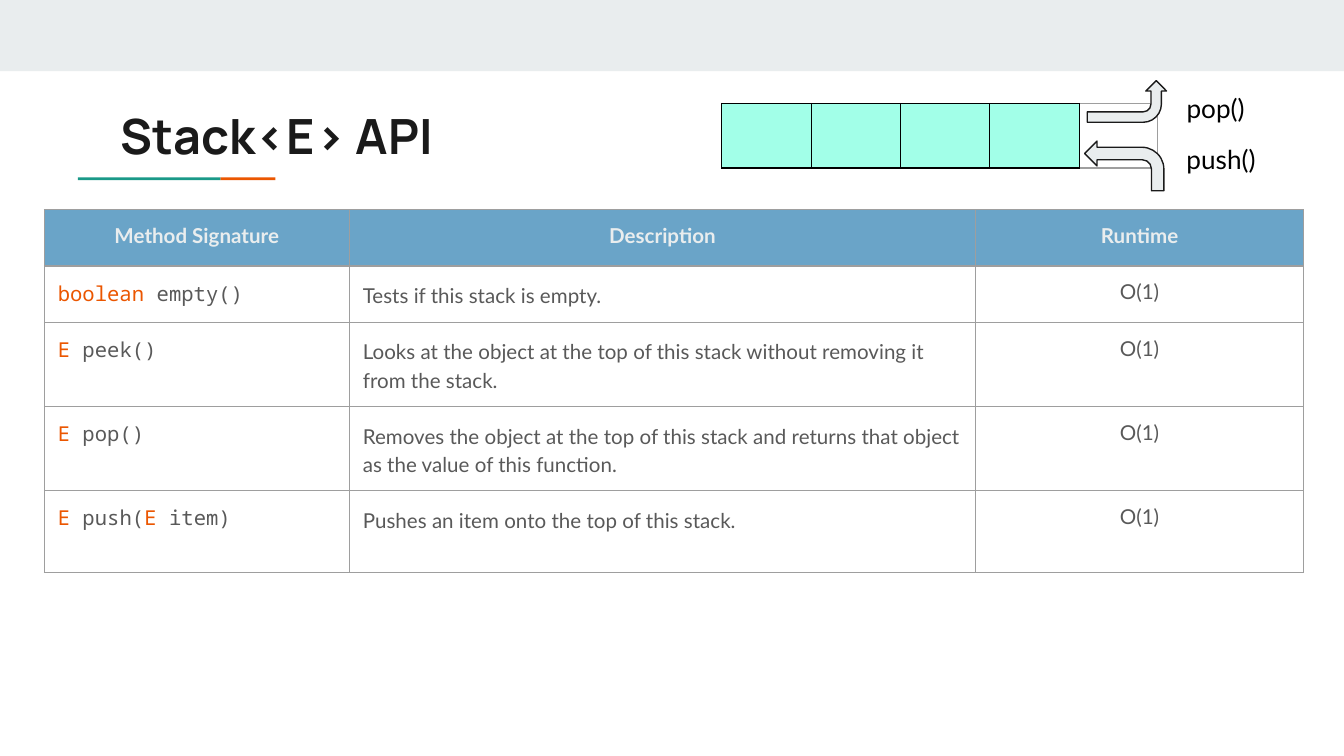
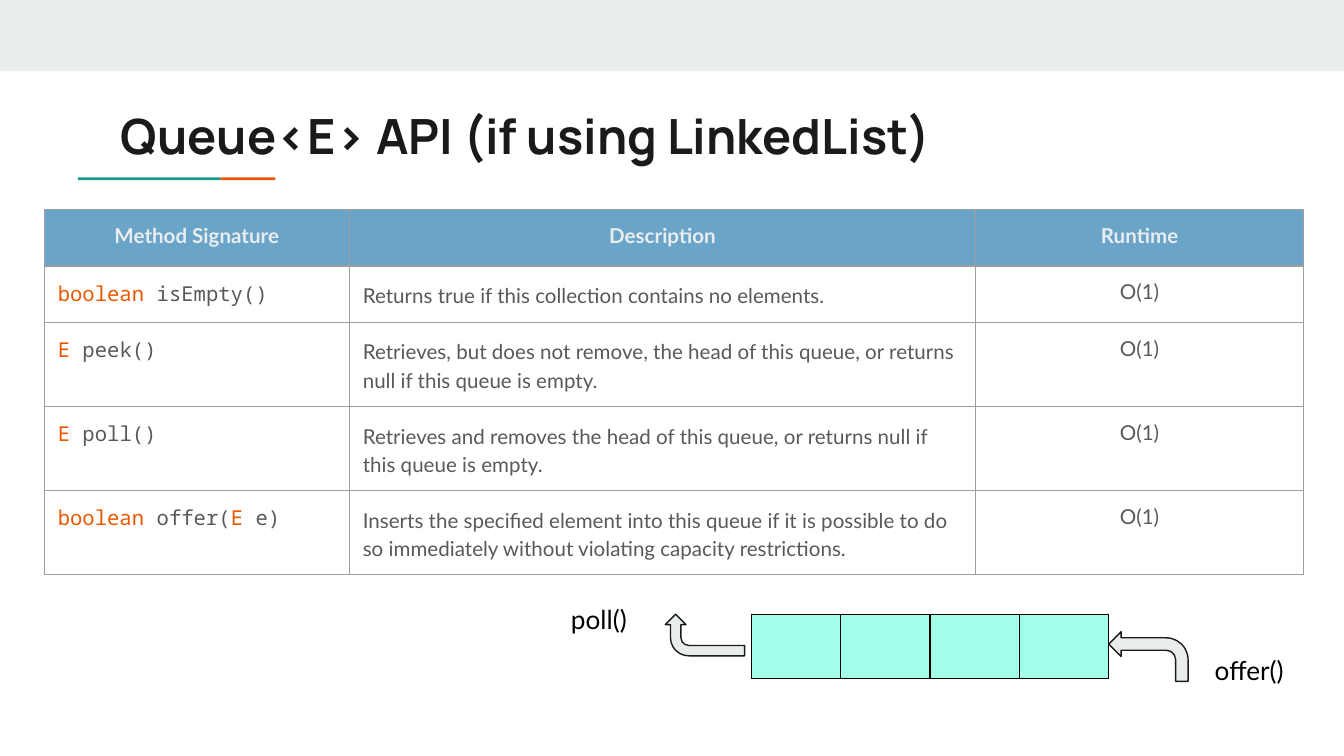
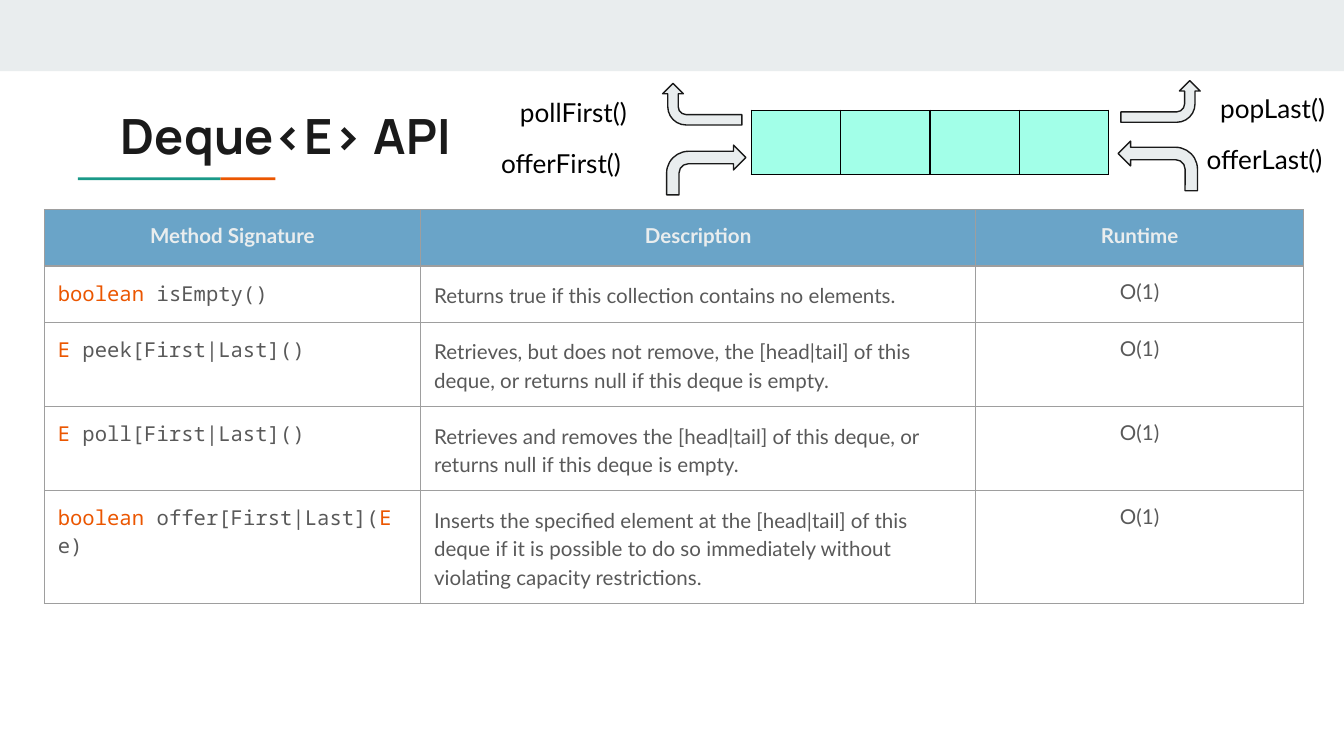
from dataclasses import dataclass

from lxml import etree
from pptx import Presentation
from pptx.dml.color import RGBColor
from pptx.enum.shapes import MSO_SHAPE
from pptx.enum.text import MSO_ANCHOR, PP_ALIGN
from pptx.oxml.ns import qn
from pptx.util import Inches, Pt


@dataclass(frozen=True)
class Theme:
    pale: str = "E9EDEE"
    teal: str = "1A9988"
    orange: str = "EB5600"
    ink: str = "1A1A1A"
    grey: str = "595959"
    black: str = "000000"
    header: str = "6AA4C8"
    mint: str = "A2FFE8"
    grid: str = "9E9E9E"
    title_font: str = "Manrope"
    body_font: str = "Lato"
    code_font: str = "Noto Sans Mono"
    title_size: int = 26
    label_size: int = 14
    table_size: int = 11
    line: float = 0.75
    inset: float = 0.1


T = Theme()


def add_run(p, text, size, color, font=T.body_font, bold=False):
    r = p.add_run()
    r.text = text
    r.font.name = font
    r.font.size = Pt(size)
    r.font.bold = bold
    r.font.color.rgb = RGBColor.from_string(color)


def style_cell(cell, fill, left, others):
    """Set the insets, fill and border colours of a cell."""
    cell.margin_left = cell.margin_right = Inches(T.inset)
    cell.margin_top = cell.margin_bottom = Inches(T.inset)
    tcPr = cell._tc.get_or_add_tcPr()
    for tag, color in (("a:lnL", left), ("a:lnR", others), ("a:lnT", others), ("a:lnB", others)):
        ln = etree.SubElement(tcPr, qn(tag), w=str(Pt(T.line)))
        solid = etree.SubElement(ln, qn("a:solidFill"))
        etree.SubElement(solid, qn("a:srgbClr"), val=color)
    if fill:
        cell.fill.solid()
        cell.fill.fore_color.rgb = RGBColor.from_string(fill)
    else:
        cell.fill.background()


# Signatures alternate between type names (orange) and plain code (grey).
# Arrows: left, top, width, height, rotation, flipped. Labels: text, left, top, width.
SLIDES = [
    {
        "title": "Stack<E> API",
        "cols": (2.27, 4.66, 2.44),
        "last_row": 0.61,
        "methods": [
            (("boolean", " empty()"), "Tests if this stack is empty."),
            (("E", " peek()"),
             "Looks at the object at the top of this stack without removing it from the stack."),
            (("E", " pop()"),
             "Removes the object at the top of this stack and returns that object as the value "
             "of this function."),
            (("E", " push(", "E", " item)"), "Pushes an item onto the top of this stack."),
        ],
        "store": (5.37, 0.77),
        "open_end": True,
        "arrows": [(8.23, 0.46, 0.31, 0.59, 90, True), (8.07, 1.05, 0.59, 0.37, 0, True)],
        "labels": [("pop()", 8.73, 0.59, 0.71), ("push()", 8.73, 0.97, 0.77)],
    },
    {
        "title": "Queue<E> API (if using LinkedList)",
        "cols": (2.27, 4.66, 2.44),
        "last_row": 0.42,
        "methods": [
            (("boolean", " isEmpty()"), "Returns true if this collection contains no elements."),
            (("E", " peek()"),
             "Retrieves, but does not remove, the head of this queue, or returns null if this "
             "queue is empty."),
            (("E", " poll()"),
             "Retrieves and removes the head of this queue, or returns null if this queue is "
             "empty."),
            (("boolean", " offer(", "E", " e)"),
             "Inserts the specified element into this queue if it is possible to do so "
             "immediately without violating capacity restrictions."),
        ],
        "store": (5.59, 4.57),
        "open_end": False,
        "arrows": [(5.09, 4.43, 0.31, 0.59, 270, False), (8.25, 4.7, 0.59, 0.37, 0, True)],
        "labels": [("poll()", 4.15, 4.39, 0.71), ("offer()", 8.94, 4.77, 0.77)],
    },
    {
        "title": "Deque<E> API",
        "cols": (2.8, 4.13, 2.44),
        "last_row": 0.42,
        "methods": [
            (("boolean", " isEmpty()"), "Returns true if this collection contains no elements."),
            (("E", " peek[First|Last]()"),
             "Retrieves, but does not remove, the [head|tail] of this  deque, or returns null if "
             "this deque is empty."),
            (("E", " poll[First|Last]()"),
             "Retrieves and removes the [head|tail] of this deque, or returns null if this "
             "deque is empty."),
            (("boolean", " offer[First|Last](", "E", " e)"),
             "Inserts the specified element at the [head|tail] of this deque if it is possible "
             "to do so immediately without violating capacity restrictions."),
        ],
        "store": (5.59, 0.82),
        "open_end": False,
        "arrows": [(8.48, 0.46, 0.31, 0.59, 90, True), (8.32, 1.05, 0.59, 0.37, 0, True),
                   (5.07, 0.48, 0.31, 0.59, 270, False), (4.96, 1.08, 0.59, 0.37, 0, False)],
        "labels": [("popLast()", 8.98, 0.59, 1.02), ("offerLast()", 8.88, 0.97, 1.12),
                   ("pollFirst()", 3.77, 0.62, 1.12), ("offerFirst()", 3.63, 1, 1.26)],
    },
]

prs = Presentation()
prs.slide_width = Inches(10)
prs.slide_height = prs.slide_width * 9 // 16
layout = prs.slide_layouts[5]
slides = [prs.slides.add_slide(layout) for _ in SLIDES]

# Shared layout: title position, top band and two-colour rule
title = layout.placeholders[0]
title.left, title.top = Inches(0.8), Inches(0.69)
title.width, title.height = Inches(8.41), Inches(0.59)
for x, y, w, h, color in ((0, 0, 10, 0.53, T.pale),
                          (0.58, 1.32, 1.06, 0.02, T.teal),
                          (1.64, 1.32, 0.41, 0.02, T.orange)):
    sp = slides[0].shapes.add_shape(MSO_SHAPE.RECTANGLE, Inches(x), Inches(y), Inches(w), Inches(h))
    sp.shadow.inherit = False
    sp.fill.solid()
    sp.fill.fore_color.rgb = RGBColor.from_string(color)
    sp.line.fill.background()
    layout.shapes.element.insert(2, sp.element)

for s, data in zip(slides, SLIDES):
    tf = s.shapes.title.text_frame
    tf.margin_left = tf.margin_right = tf.margin_top = tf.margin_bottom = Inches(T.inset)
    tf.vertical_anchor = MSO_ANCHOR.TOP
    p = tf.paragraphs[0]
    p.alignment = PP_ALIGN.LEFT
    add_run(p, data["title"], T.title_size, T.ink, T.title_font, True)

    # Method table
    rows = len(data["methods"]) + 1
    table = s.shapes.add_table(rows, 3, Inches(0.33), Inches(1.56),
                               Inches(sum(data["cols"])), Inches(0.42 * rows)).table
    table.first_row = table.horz_banding = False
    for column, w in zip(table.columns, data["cols"]):
        column.width = Inches(w)
    table.rows[rows - 1].height = Inches(data["last_row"])
    for i in range(rows):
        for j in range(3):
            style_cell(table.cell(i, j), None if i else T.header, T.grid, T.grid)
    for j, heading in enumerate(("Method Signature", "Description", "Runtime")):
        p = table.cell(0, j).text_frame.paragraphs[0]
        p.alignment = PP_ALIGN.CENTER
        add_run(p, heading, T.table_size, T.pale, bold=True)
    for i, (signature, description) in enumerate(data["methods"], 1):
        sig_p, desc_p, time_p = (table.cell(i, j).text_frame.paragraphs[0] for j in range(3))
        for k, part in enumerate(signature):
            add_run(sig_p, part, T.table_size, T.grey if k % 2 else T.orange, T.code_font)
        desc_p.line_spacing = 1.15
        add_run(desc_p, description, T.table_size, T.grey)
        time_p.alignment = PP_ALIGN.CENTER
        add_run(time_p, "O(1)", T.table_size, T.grey)

    # Storage cells, with a free slot where the end is open
    widths = [2.66 / 4] * 4 + [0.58] * data["open_end"]
    x, y = data["store"]
    store = s.shapes.add_table(1, len(widths), Inches(x), Inches(y),
                               Inches(sum(widths)), Inches(0.48)).table
    store.first_row = store.horz_banding = False
    for j, w in enumerate(widths):
        store.columns[j].width = Inches(w)
        filled = j < 4
        cell = store.cell(0, j)
        style_cell(cell, T.mint if filled else None, T.black, T.black if filled else T.grid)
        cell.text_frame.paragraphs[0].font.size = Pt(T.label_size)

    for x, y, w, h, rotation, flipped in data["arrows"]:
        sp = s.shapes.add_shape(MSO_SHAPE.BENT_ARROW, Inches(x), Inches(y), Inches(w), Inches(h))
        sp.shadow.inherit = False
        sp.rotation = rotation
        if flipped:
            sp.element.spPr.xfrm.set("flipH", "1")
        for k, value in enumerate((0.25, 0.25, 0.25, 0.44)):
            sp.adjustments[k] = value
        sp.fill.solid()
        sp.fill.fore_color.rgb = RGBColor.from_string(T.pale)
        sp.line.color.rgb = RGBColor.from_string(T.ink)
        sp.line.width = Pt(T.line)

    for text, x, y, w in data["labels"]:
        tf = s.shapes.add_textbox(Inches(x), Inches(y), Inches(w), Inches(0.31)).text_frame
        tf.word_wrap = True
        tf.margin_left = tf.margin_right = tf.margin_top = tf.margin_bottom = Inches(T.inset)
        add_run(tf.paragraphs[0], text, T.label_size, T.black)

prs.save("out.pptx")
